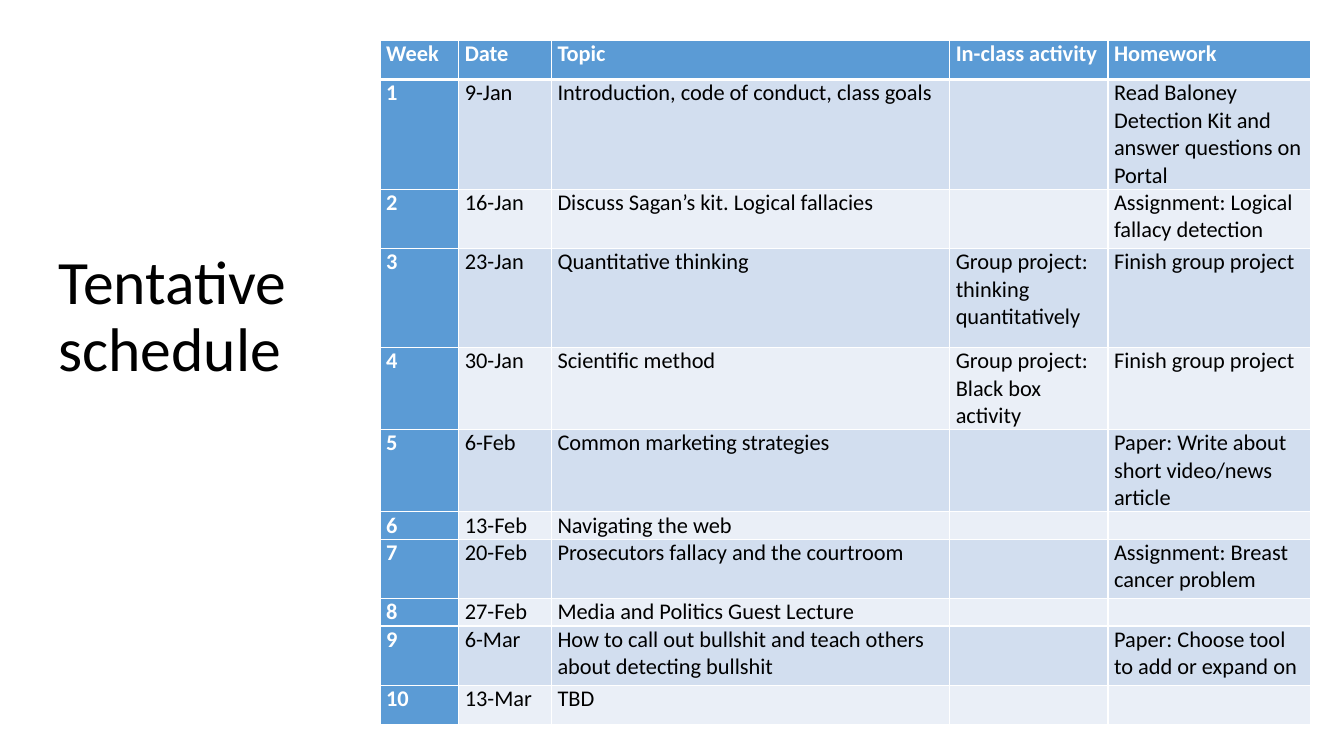
from dataclasses import dataclass

from lxml.etree import SubElement
from pptx import Presentation
from pptx.dml.color import RGBColor
from pptx.enum.text import MSO_ANCHOR as Anchor, MSO_AUTO_SIZE as AutoSize, PP_ALIGN as Align
from pptx.oxml.ns import qn
from pptx.util import Pt

PX = 9144


@dataclass(frozen=True)
class Theme:
    font: str = "Calibri"
    text: str = "000000"
    light: str = "FFFFFF"
    header: str = "5B9BD5"
    bands: tuple = ("D2DEEF", "EAEFF7")
    title_size: int = 44
    table_size: int = 16
    line: int = 1
    header_line: int = 3


THEME = Theme()

TITLE_BOX = (48, 134, 269, 363)
TABLE_BOX = (377, 40, 923, 672)
COLUMN_WIDTHS = (78, 92, 395, 157, 201)
ROW_HEIGHTS = (39, 78, 59, 98, 78, 78, 20, 59, 20, 59, 39)
CELL_FORMAT = {"margin_left": 6 * PX, "margin_right": 6 * PX, "margin_top": 0, "margin_bottom": 0}

HEADINGS = ("Week", "Date", "Topic", "In-class activity", "Homework")
SESSIONS = (
    ("9-Jan", "Introduction, code of conduct, class goals", "",
     "Read Baloney Detection Kit and answer questions on Portal"),
    ("16-Jan", "Discuss Sagan’s kit. Logical fallacies", "", "Assignment: Logical fallacy detection"),
    ("23-Jan", "Quantitative thinking", "Group project: thinking quantitatively", "Finish group project"),
    ("30-Jan", "Scientific method", "Group project: Black box activity", "Finish group project"),
    ("6-Feb", "Common marketing strategies", "", "Paper: Write about short video/news article"),
    ("13-Feb", "Navigating the web", "", ""),
    ("20-Feb", "Prosecutors fallacy and the courtroom", "", "Assignment: Breast cancer problem"),
    ("27-Feb", "Media and Politics Guest Lecture", "", ""),
    ("6-Mar", "How to call out bullshit and teach others about detecting bullshit", "",
     "Paper: Choose tool to add or expand on"),
    ("13-Mar", "TBD", "", ""),
)


def set_attributes(target, values):
    for name, value in values.items():
        setattr(target, name, value)


def format_font(font, size, color, bold=False):
    set_attributes(font, {"name": THEME.font, "size": Pt(size), "bold": bold})
    font.color.rgb = RGBColor.from_string(color)


def add_title(slide, text):
    title = slide.shapes.title
    left, top, width, height = (value * PX for value in TITLE_BOX)
    set_attributes(title, {"left": left, "top": top, "width": width, "height": height})
    frame = title.text_frame
    frame.text = text
    set_attributes(frame, {"word_wrap": True, "auto_size": AutoSize.NONE, "vertical_anchor": Anchor.MIDDLE})
    paragraph = frame.paragraphs[0]
    set_attributes(paragraph, {"alignment": Align.LEFT, "line_spacing": 0.9})
    format_font(paragraph.runs[0].font, THEME.title_size, THEME.text)


def set_borders(cell, row):
    widths = {
        "a:lnL": THEME.line,
        "a:lnR": THEME.line,
        "a:lnT": THEME.header_line if row == 1 else THEME.line,
        "a:lnB": THEME.header_line if row == 0 else THEME.line,
    }
    properties = cell._tc.get_or_add_tcPr()
    for tag, width in widths.items():
        line = SubElement(properties, qn(tag), w=str(Pt(width)))
        fill = SubElement(line, qn("a:solidFill"))
        SubElement(fill, qn("a:srgbClr"), val=THEME.light)


def fill_cell(cell, text, row, column):
    heading = row == 0 or column == 0
    set_attributes(cell, CELL_FORMAT)
    set_borders(cell, row)
    cell.fill.solid()
    background = THEME.header if heading else THEME.bands[(row - 1) % 2]
    cell.fill.fore_color.rgb = RGBColor.from_string(background)
    paragraph = cell.text_frame.paragraphs[0]
    if text:
        run = paragraph.add_run()
        run.text = text
        format_font(run.font, THEME.table_size, THEME.light if heading else THEME.text, heading)
    else:
        SubElement(paragraph._p, qn("a:endParaRPr"), sz=str(THEME.table_size * 100))


def add_schedule(slide):
    rows = [HEADINGS] + [(str(week), *session) for week, session in enumerate(SESSIONS, 1)]
    box = (value * PX for value in TABLE_BOX)
    table = slide.shapes.add_table(len(rows), len(HEADINGS), *box).table
    set_attributes(table, {"first_row": True, "first_col": True, "horz_banding": True})
    for column, width in zip(table.columns, COLUMN_WIDTHS):
        column.width = width * PX
    for row, height in zip(table.rows, ROW_HEIGHTS):
        row.height = height * PX
    for row, texts in enumerate(rows):
        for column, text in enumerate(texts):
            fill_cell(table.cell(row, column), text, row, column)


def main():
    presentation = Presentation()
    set_attributes(presentation, {"slide_width": 1333 * PX, "slide_height": 750 * PX})
    slide = presentation.slides.add_slide(presentation.slide_layouts[5])
    add_title(slide, "Tentative schedule")
    add_schedule(slide)
    presentation.save("out.pptx")


if __name__ == "__main__":
    main()
